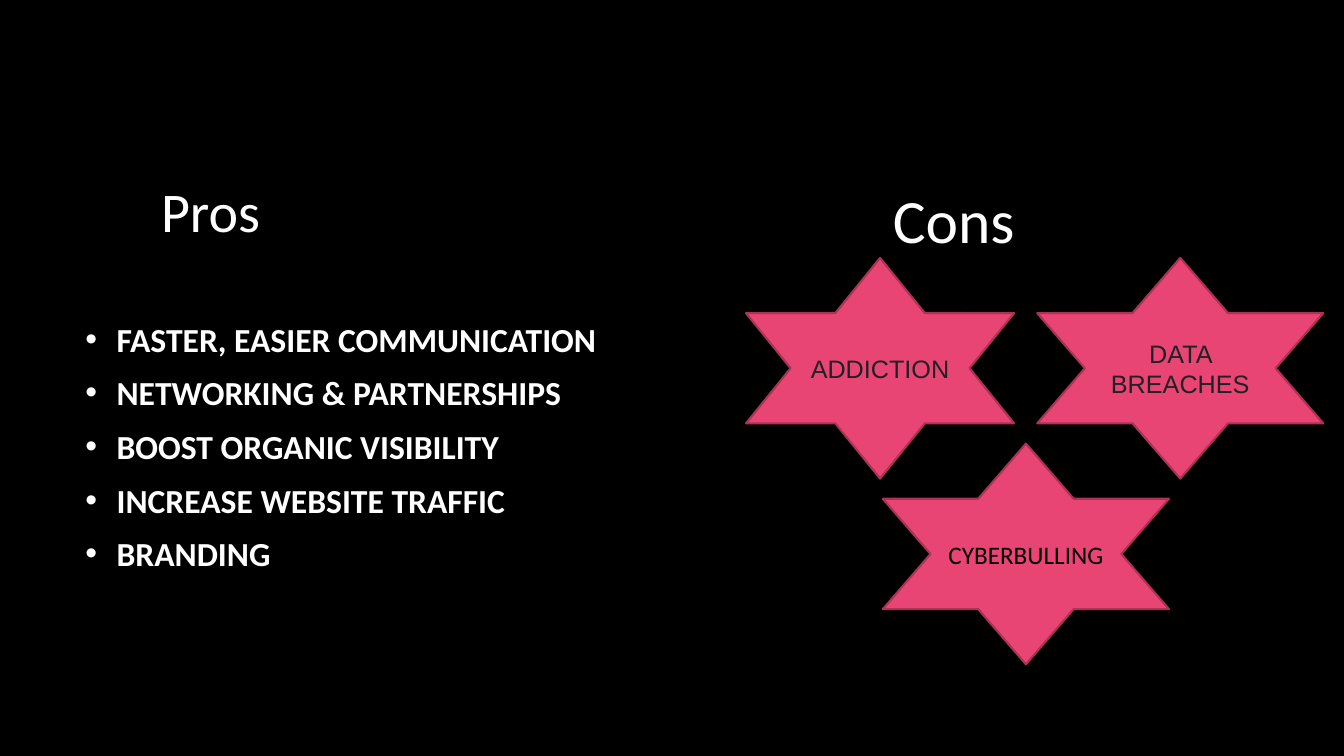
from dataclasses import dataclass

from lxml.etree import SubElement
from pptx import Presentation
from pptx.dml.color import RGBColor
from pptx.enum.shapes import MSO_SHAPE
from pptx.enum.text import MSO_ANCHOR, PP_ALIGN
from pptx.oxml.ns import qn
from pptx.slide import Slide
from pptx.text.text import TextFrame, _Paragraph
from pptx.util import Cm, Pt

WHITE = "FFFFFF"
STAR_HEIGHT = 5.56
UPPER_ROW, LOWER_ROW = 6.5, 11.18


@dataclass
class Heading:
    text: str
    left: float
    top: float
    width: float
    height: float
    size: int


@dataclass
class Star:
    text: str
    left: float
    top: float
    width: float
    font: str
    color: str


PROS = [
    "FASTER, EASIER COMMUNICATION",
    "NETWORKING & PARTNERSHIPS",
    "BOOST ORGANIC VISIBILITY",
    "INCREASE WEBSITE TRAFFIC",
    "BRANDING",
]
HEADINGS = [
    Heading("Pros", 3.81, 4.32, 7.8, 1.96, 40),
    Heading("Cons", 22.25, 4.45, 7.21, 2.13, 44),
]
CONS = [
    Star("ADDICTION", 18.8, UPPER_ROW, 6.76, "Arial", "202124"),
    Star("CYBERBULLING", 22.25, LOWER_ROW, 7.21, "Calibri", "000000"),
    Star("DATA BREACHES", 26.14, UPPER_ROW, 7.21, "Arial", "202124"),
]


def rgb(value: str) -> RGBColor:
    return RGBColor.from_string(value)


def write(para: _Paragraph, text: str, *, size: int, font: str = "Calibri",
          color: str = WHITE, bold: bool = False) -> None:
    span = para.add_run()
    span.text = text
    span.font.name = font
    span.font.size = Pt(size)
    span.font.bold = bold
    span.font.color.rgb = rgb(color)


def add_box(page: Slide, left: float, top: float, width: float, height: float) -> TextFrame:
    box = page.shapes.add_textbox(Cm(left), Cm(top), Cm(width), Cm(height))
    box.text_frame.word_wrap = True
    return box.text_frame


def add_bullet(para: _Paragraph) -> None:
    properties = para._p.get_or_add_pPr()
    properties.set("marL", str(Cm(0.79)))
    properties.set("indent", str(Cm(-0.79)))
    bullet_color = SubElement(properties, qn("a:buClr"))
    SubElement(bullet_color, qn("a:srgbClr"), val=WHITE)
    SubElement(properties, qn("a:buFont"), typeface="Arial")
    SubElement(properties, qn("a:buChar"), char="•")


def add_pros(page: Slide) -> None:
    frame = add_box(page, 1.9, 5.94, 28.14, 11.66)
    frame.margin_top = Cm(2.09)
    for index, text in enumerate(PROS):
        para = frame.add_paragraph() if index else frame.paragraphs[0]
        para.space_after = Pt(9.5)
        add_bullet(para)
        write(para, text, size=24, bold=True)


def add_heading(page: Slide, heading: Heading) -> None:
    frame = add_box(page, heading.left, heading.top, heading.width, heading.height)
    write(frame.paragraphs[0], heading.text, size=heading.size)


def add_star(page: Slide, star: Star) -> None:
    shape = page.shapes.add_shape(MSO_SHAPE.STAR_6_POINT, Cm(star.left), Cm(star.top),
                                  Cm(star.width), Cm(STAR_HEIGHT))
    shape.shadow.inherit = False
    shape.fill.solid()
    shape.fill.fore_color.rgb = rgb("E84574")
    shape.line.color.rgb = rgb("AC3356")
    shape.line.width = Pt(1.5)
    frame = shape.text_frame
    frame.word_wrap = True
    frame.vertical_anchor = MSO_ANCHOR.MIDDLE
    para = frame.paragraphs[0]
    para.alignment = PP_ALIGN.CENTER
    write(para, star.text, size=18, font=star.font, color=star.color)


def main() -> None:
    deck = Presentation()
    deck.slide_width, deck.slide_height = Cm(33.87), Cm(19.05)
    page = deck.slides.add_slide(deck.slide_layouts[6])
    page.background.fill.solid()
    page.background.fill.fore_color.rgb = rgb("000000")

    # Advantages as a bulleted list
    add_pros(page)

    # Column headings
    for heading in HEADINGS:
        add_heading(page, heading)

    # Drawbacks as stars
    for star in CONS:
        add_star(page, star)

    deck.save("out.pptx")


if __name__ == "__main__":
    main()
